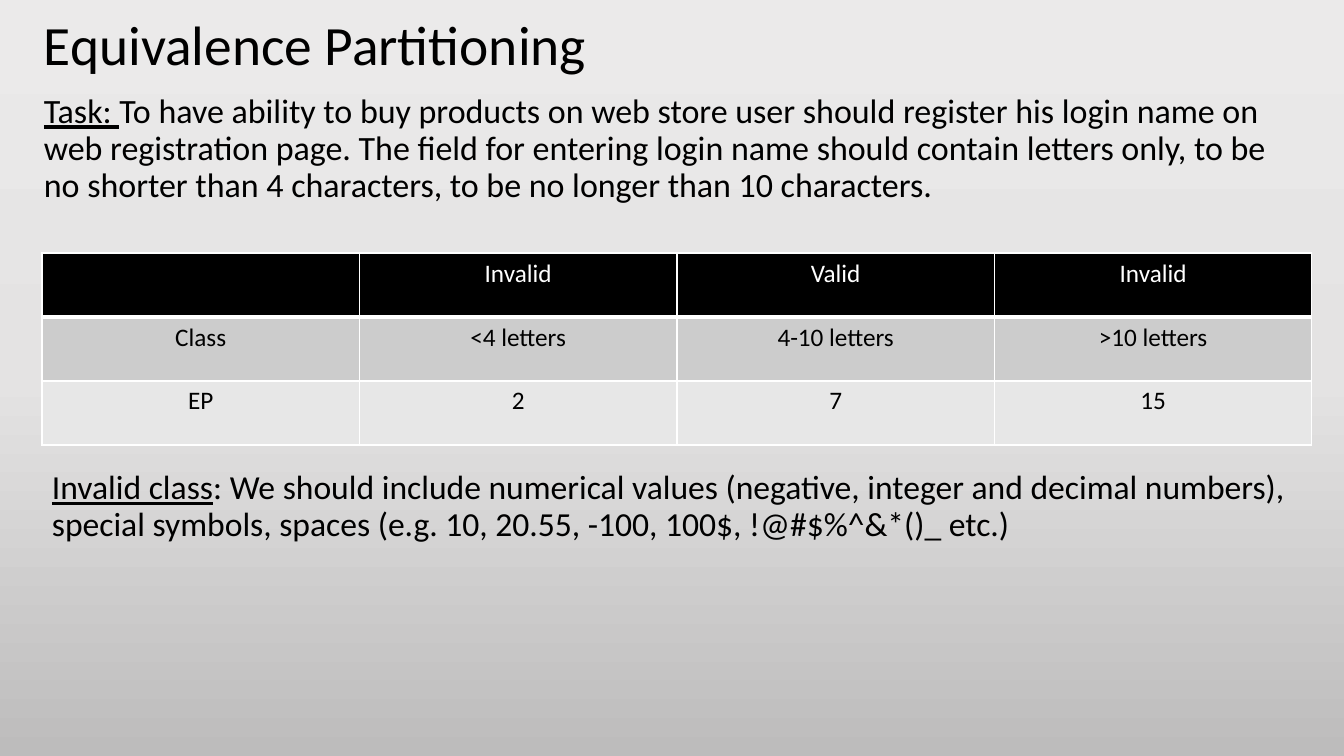
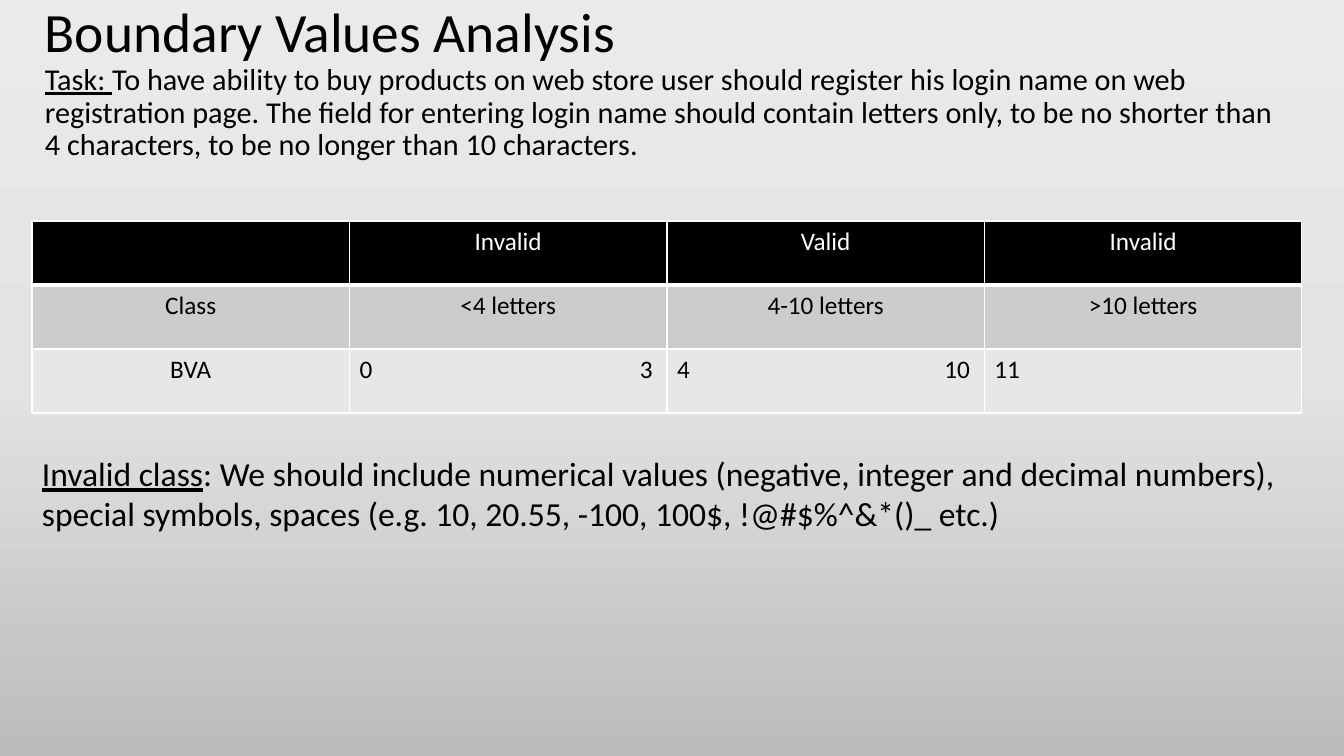
from copy import deepcopy
from pptx import Presentation
from pptx.dml.color import RGBColor
from pptx.enum.text import MSO_ANCHOR, PP_ALIGN
from pptx.oxml import parse_xml
from pptx.oxml.ns import nsdecls, qn
from pptx.util import Emu, Pt

LEFT, CENTER = PP_ALIGN.LEFT, PP_ALIGN.CENTER
TOP, MIDDLE = MSO_ANCHOR.TOP, MSO_ANCHOR.MIDDLE
FONT = "Calibri"
HEX = {"ink": "000000", "line": "FFFFFF", "head": "000000", "band": "CCCCCC",
       "pale": "E7E7E7", "sky": "EBEAEA", "mid": "E4E3E3", "low": "BDBCBC"}


def px(n):
    return Emu(round(n * 914400 / 100.8))


def rgb(name):
    return RGBColor.from_string(HEX[name])


class Deck:
    def __init__(self):
        self.prs = Presentation()
        self.prs.slide_width, self.prs.slide_height = px(1344), px(756)
        self.slide = None
        self.backdrop()

    def backdrop(self):
        """Three-stop gradient shared by all slides."""
        master = self.prs.slide_master
        fill = master.background.fill
        fill.gradient()
        fill.gradient_angle = 270
        stops = master.element.find(".//" + qn("a:gsLst"))
        stops.insert(1, deepcopy(stops[0]))
        for stop, name, pos in zip(fill.gradient_stops, ("sky", "mid", "low"), (0, 0.5, 1)):
            stop.color.rgb = rgb(name)
            stop.position = pos

    def new(self):
        self.slide = self.prs.slides.add_slide(self.prs.slide_layouts[6])

    def style(self, para, size, color="ink", align=LEFT):
        para.alignment = align
        font = para.font
        font.name, font.size, font.color.rgb = FONT, Pt(size), rgb(color)

    def box(self, x, y, w, h, anchor=TOP):
        frame = self.slide.shapes.add_textbox(px(x), px(y), px(w), px(h)).text_frame
        frame.word_wrap = True
        frame.vertical_anchor = anchor
        return frame

    def lead(self, para, label, text, size, spacing):
        """Paragraph that opens with an underlined label."""
        self.style(para, size)
        para.line_spacing = spacing
        run = para.add_run()
        run.text, run.font.underline = label, True
        para.add_run().text = text

    def title(self, x, y, w, text, size, gap, foot):
        frame = self.box(x, y, w, 146, MIDDLE)
        frame.margin_bottom = px(foot)
        head = frame.paragraphs[0]
        head.text = text
        self.style(head, 39.6)
        head.line_spacing = 0.9
        head.space_after = Pt(gap)
        self.lead(frame.add_paragraph(), "Task: ", TASK, size, 0.9)

    def note(self, x, y, h, spacing):
        para = self.box(x, y, 1270, h).paragraphs[0]
        self.lead(para, "Invalid class", NOTE, 24, spacing)

    def border(self, cell, row):
        props = cell._tc.get_or_add_tcPr()
        wide = {(0, "B"), (1, "T")}
        for i, side in enumerate("LRTB"):
            width = Pt(3 if (row, side) in wide else 1)
            props.insert(i, parse_xml(
                f'<a:ln{side} {nsdecls("a")} w="{width}"><a:solidFill>'
                f'<a:srgbClr val="{HEX["line"]}"/></a:solidFill></a:ln{side}>'))

    def spread(self, para):
        """Right tab that sends the second value to the cell's far side."""
        tabs = parse_xml(f'<a:tabLst {nsdecls("a")}>'
                         f'<a:tab pos="{px(293)}" algn="r"/></a:tabLst>')
        para._p.get_or_add_pPr().find(qn("a:defRPr")).addprevious(tabs)

    def table(self, x, y, last, aligns):
        rows = HEAD + [last]
        grid = self.slide.shapes.add_table(3, 4, px(x), px(y), px(1270), px(192)).table
        for r, (texts, fill) in enumerate(zip(rows, ("head", "band", "pale"))):
            for c, text in enumerate(texts):
                cell = grid.cell(r, c)
                cell.fill.solid()
                cell.fill.fore_color.rgb = rgb(fill)
                self.border(cell, r)
                para = cell.text_frame.paragraphs[0]
                para.text = text
                self.style(para, 18, "ink" if r else "line", aligns[c] if r == 2 else CENTER)
                if "\t" in text:
                    self.spread(para)


# Shared wording
TASK = ("To have ability to buy products on web store user should register his login "
        "name on web registration page. The field for entering login name should contain "
        "letters only, to be no shorter than 4 characters, to be no longer than 10 characters.")
NOTE = (": We should include numerical values (negative, integer and decimal numbers), "
        "special symbols, spaces (e.g. 10, 20.55, -100, 100$, !@#$%^&*()_ etc.)")
HEAD = [["", "Invalid", "Valid", "Invalid"],
        ["Class", "<4 letters", "4-10 letters", ">10 letters"]]

deck = Deck()

# Slide 1: equivalence partitioning
deck.new()
deck.title(34, 70, 1285, "Equivalence Partitioning", 24.3, 12, 69)
deck.table(42, 253, ["EP", "2", "7", "15"], [CENTER] * 4)
deck.note(42, 466, 262, 0.9)

# Slide 2: boundary values
deck.new()
deck.title(35, 40, 1267, "Boundary Values Analysis", 21.6, 0, 64)
deck.table(32, 221, ["BVA", "0\t3", "4\t10", "11"], [CENTER, LEFT, LEFT, LEFT])
deck.note(32, 448, 92, 1.0)

deck.prs.save("out.pptx")
